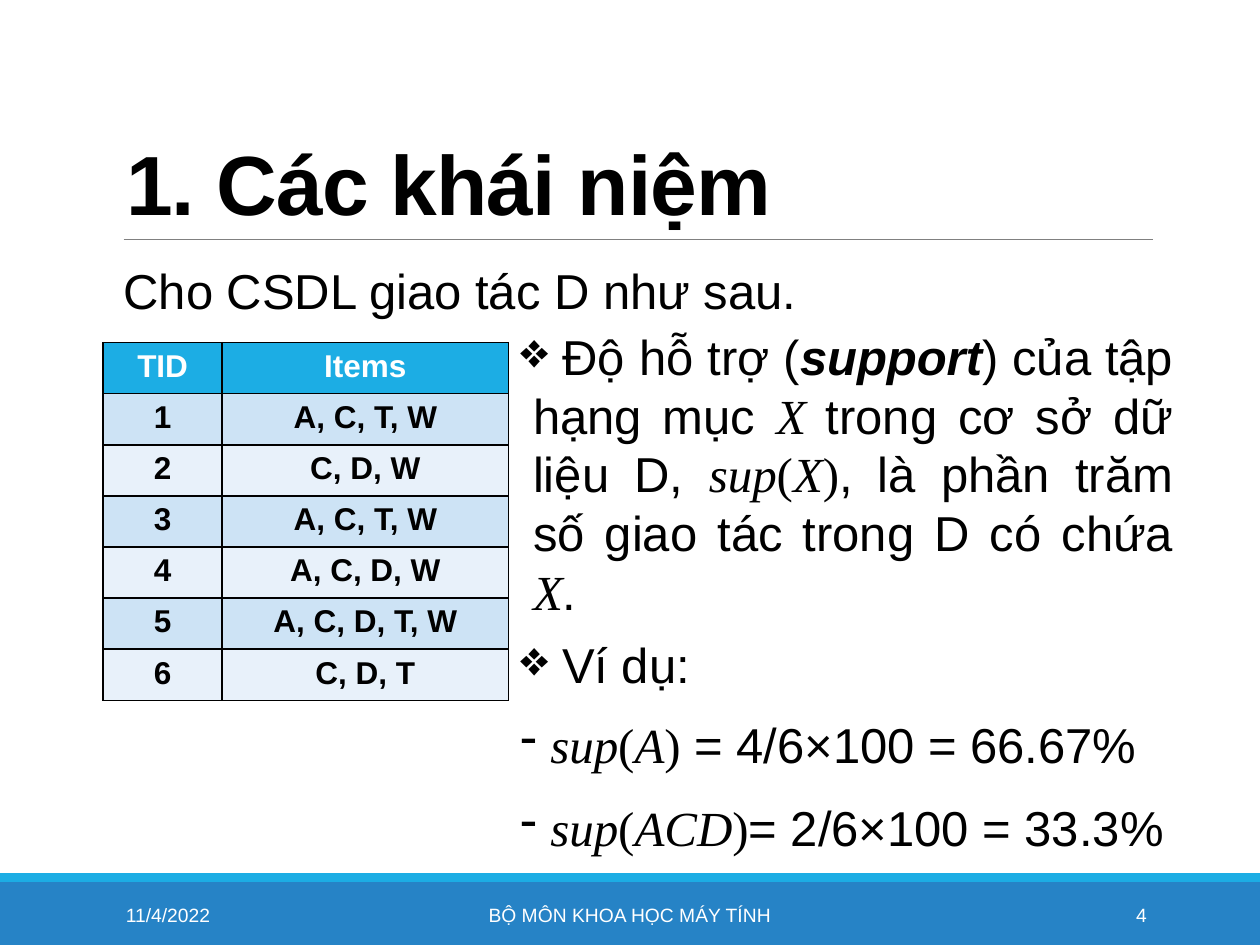
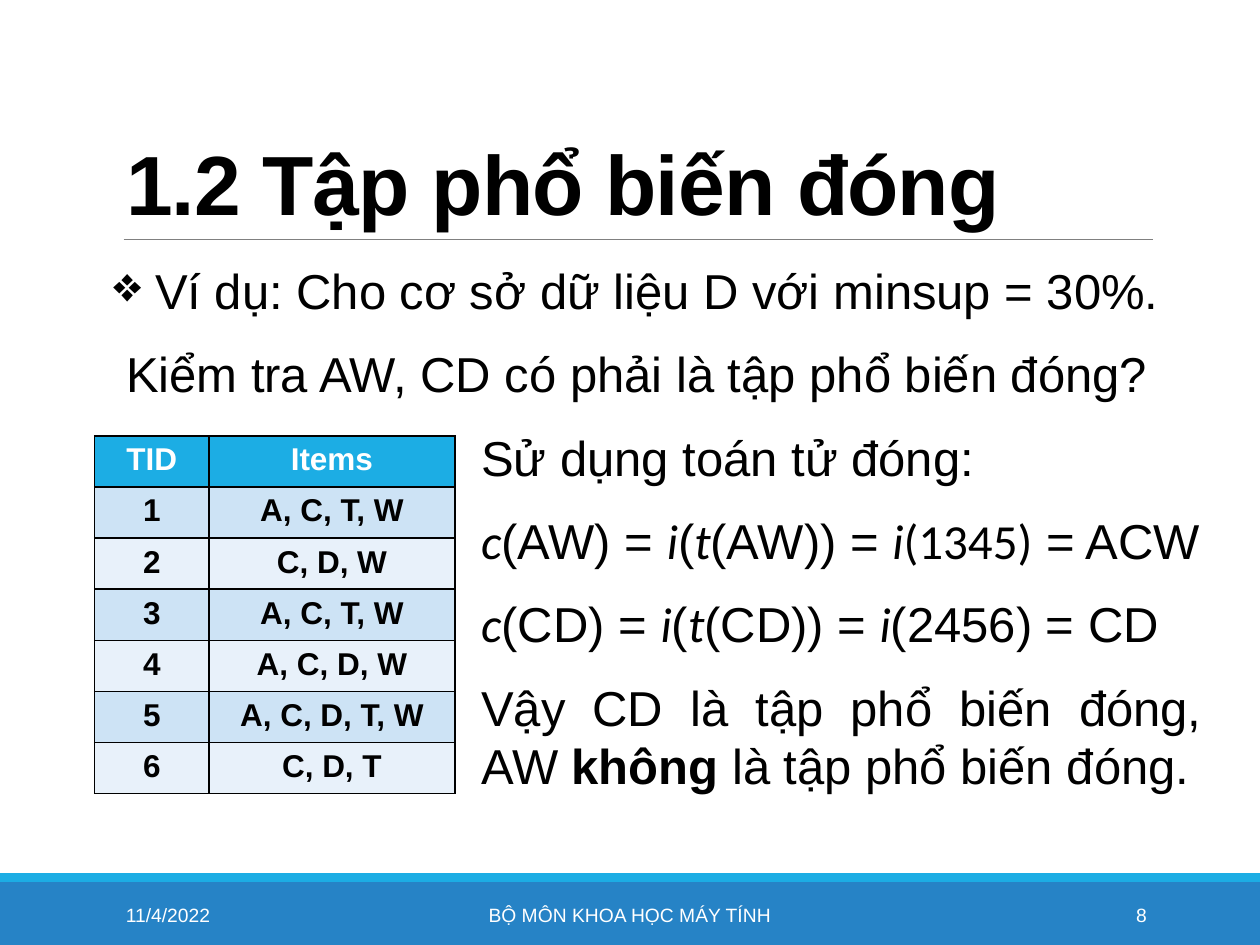
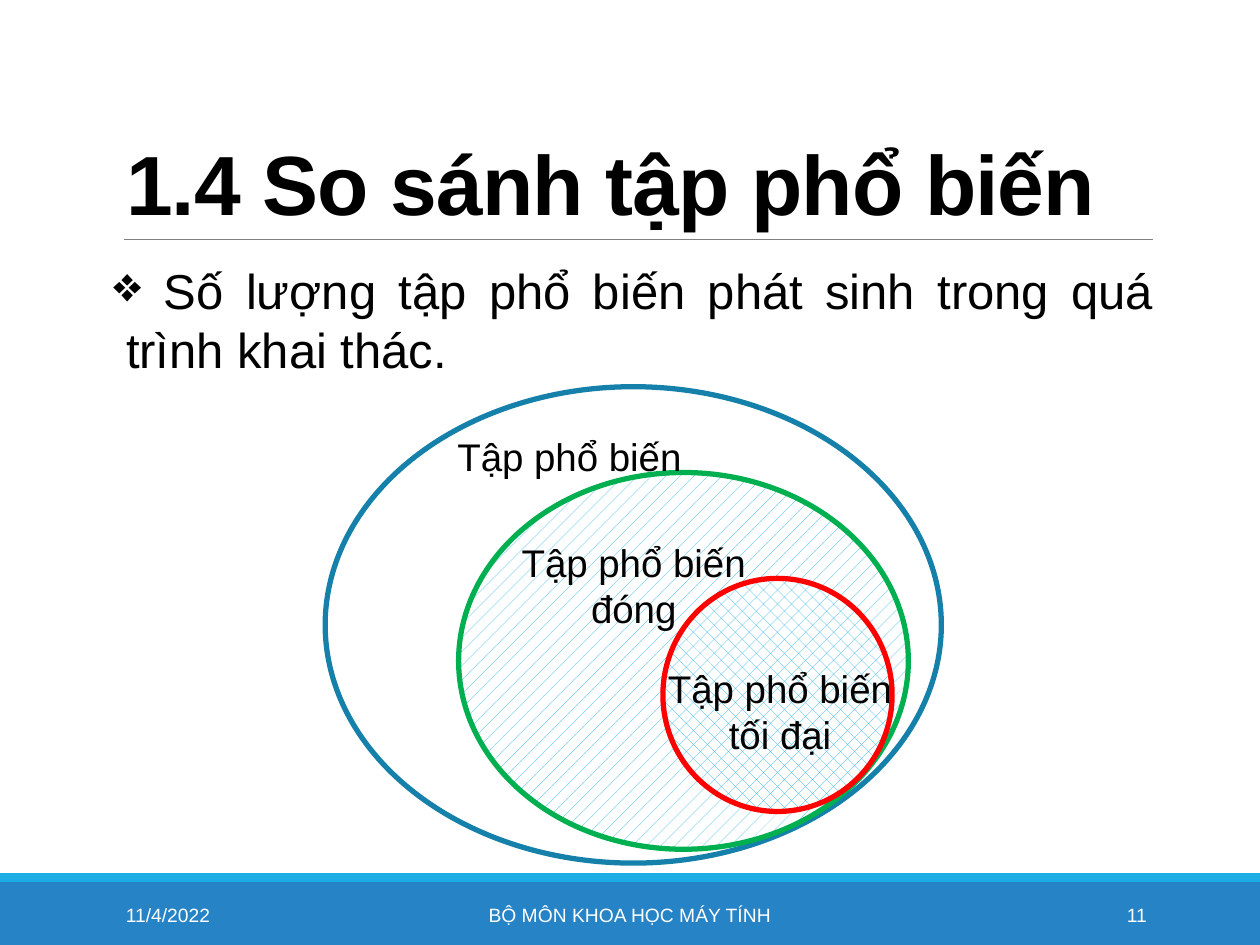
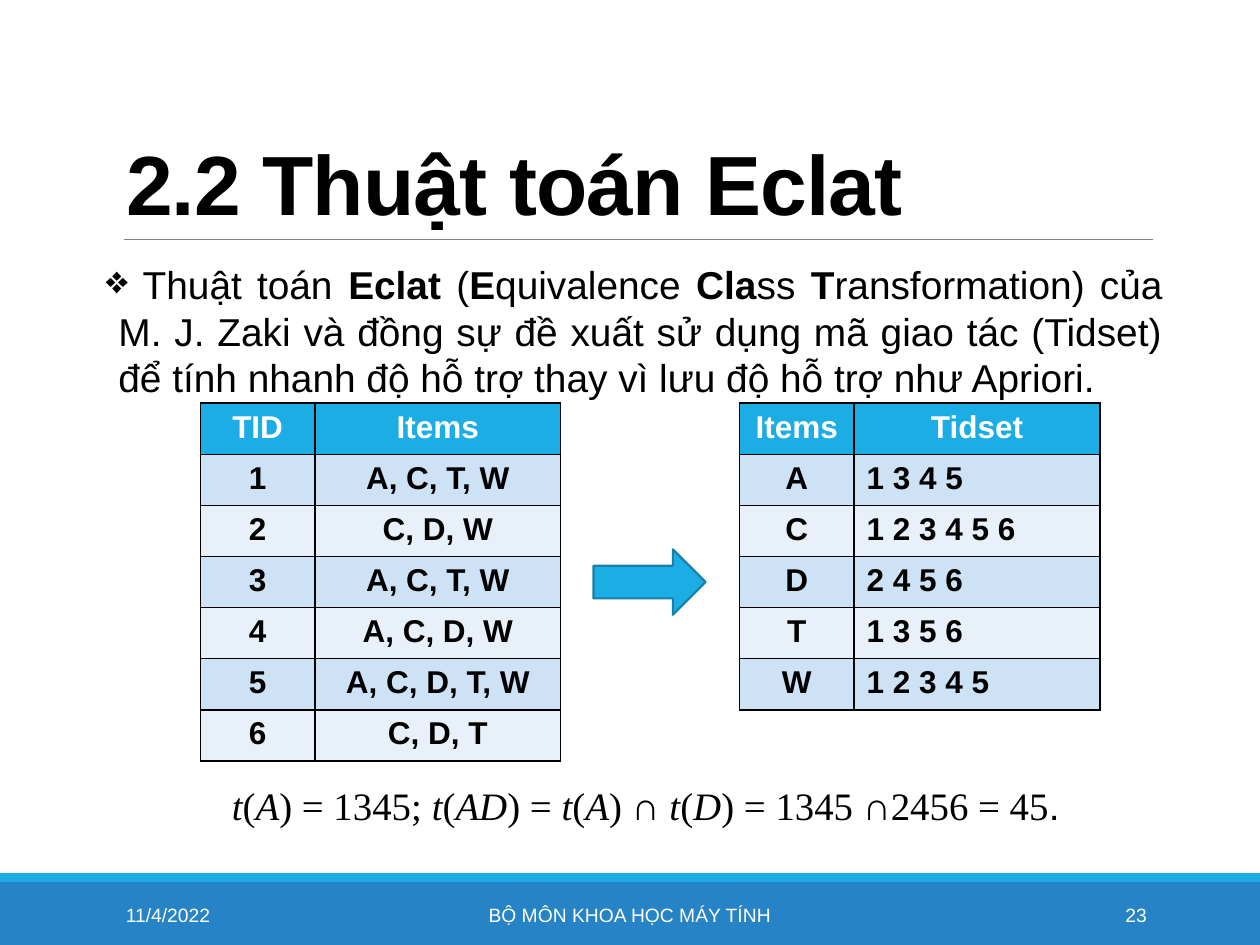
import lxml.etree
import pptx
import pptx.dml.color
import pptx.enum.dml
import pptx.enum.shapes
import pptx.enum.text
import pptx.oxml
import pptx.oxml.ns
import pptx.util

Pt = pptx.util.Pt
ALIGN = pptx.enum.text.PP_ALIGN
ANCHOR = pptx.enum.text.MSO_ANCHOR
SHAPE = pptx.enum.shapes.MSO_SHAPE
PATTERN = pptx.enum.dml.MSO_PATTERN

COLORS = {
    "text": "000000", "light": "FFFFFF", "rule": "808080",
    "accent": "1CADE4", "band": "2683C6", "outline": "1580A9",
    "odd_row": "CDE3F5", "even_row": "E8F1FA",
    "closed": "00B050", "maximal": "FF0000",
}
SANS, SERIF, HUMANIST = "Arial", "Times New Roman", "Calibri"

# Run styles, named by the short keys used in the slide texts
STYLES = {
    "plain": {"name": SANS},
    "bold": {"name": SANS, "bold": True},
    "term": {"name": SANS, "bold": True, "italic": True},
    "math": {"name": SERIF, "italic": True},
    "digits": {"name": SERIF},
    "function": {"name": HUMANIST, "italic": True},
    "argument": {"name": HUMANIST},
}

SLIDE_WIDTH, SLIDE_HEIGHT = 720, 540
TITLE_BOX = (64.8, 22.3, 594, 114.5)
FOOTER_BOX = (0, 499, SLIDE_WIDTH, 41)
HANGING = 7.2
ROW_HEIGHT = 29.2
DATE, DEPARTMENT = "11/4/2022", "BỘ MÔN KHOA HỌC MÁY TÍNH"

TRANSACTIONS = [
    ("TID", "Items"), ("1", "A, C, T, W"), ("2", "C, D, W"),
    ("3", "A, C, T, W"), ("4", "A, C, D, W"), ("5", "A, C, D, T, W"),
    ("6", "C, D, T"),
]
TIDSETS = [
    ("Items", "Tidset"), ("A", "1 3 4 5"), ("C", "1 2 3 4 5 6"),
    ("D", "2 4 5 6"), ("T", "1 3 5 6"), ("W", "1 2 3 4 5"),
]


# Shared helpers
def color(name):
    return pptx.dml.color.RGBColor.from_string(COLORS[name])


def points(box):
    return [Pt(length) for length in box]


def apply_format(target, values):
    for name, value in values.items():
        setattr(target, name, value)


def add_run(paragraph, text, size, style="plain", color_name="text"):
    run = paragraph.add_run()
    run.text = text
    apply_format(run.font, {"size": Pt(size), **STYLES[style]})
    run.font.color.rgb = color(color_name)
    return run


def paragraph_of(*runs, bullet=None, **layout):
    """Describe a paragraph: runs are (text, style) pairs or plain strings."""
    return {"runs": runs, "bullet": bullet, "before": 12, "after": 2,
            "align": ALIGN.JUSTIFY, "indent": 0, **layout}


def set_bullet(paragraph, character):
    properties = paragraph._p.get_or_add_pPr()
    properties.set("indent", str(Pt(-HANGING)))
    bullet = lxml.etree.SubElement(properties, pptx.oxml.ns.qn("a:buChar"))
    bullet.set("char", character)


def add_text(shapes, box, paragraphs, size, color_name="text",
             side_inset=0, anchor=ANCHOR.TOP):
    frame = shapes.add_textbox(*points(box)).text_frame
    apply_format(frame, {
        "word_wrap": True, "vertical_anchor": anchor,
        "margin_left": Pt(side_inset), "margin_right": Pt(side_inset)})
    for index, content in enumerate(paragraphs):
        paragraph = frame.add_paragraph() if index else frame.paragraphs[0]
        apply_format(paragraph, {
            "alignment": content["align"],
            "space_before": Pt(content["before"]),
            "space_after": Pt(content["after"])})
        indent = HANGING if content["bullet"] else content["indent"]
        paragraph._p.get_or_add_pPr().set("marL", str(Pt(indent)))
        if content["bullet"]:
            set_bullet(paragraph, content["bullet"])
        for run in content["runs"]:
            if run == "\n":
                paragraph.add_line_break()
            else:
                text, style = (run, "plain") if isinstance(run, str) else run
                add_run(paragraph, text, size, style, color_name)


def add_label(shapes, box, text, size, align=ALIGN.CENTER, **options):
    label = paragraph_of(text, align=align, before=0, after=0)
    add_text(shapes, box, [label], size, side_inset=7.2, **options)


def add_figure(shapes, kind, box, fill=None, pattern=None, line=None, width=1):
    shape = shapes.add_shape(kind, *points(box))
    shape.shadow.inherit = False
    if pattern:
        shape.fill.patterned()
        shape.fill.pattern = pattern
        shape.fill.fore_color.rgb = color("accent")
        shape.fill.back_color.rgb = color("light")
    elif fill:
        shape.fill.solid()
        shape.fill.fore_color.rgb = color(fill)
    else:
        shape.fill.background()
    if line:
        shape.line.color.rgb = color(line)
        shape.line.width = Pt(width)
    else:
        shape.line.fill.background()


# Title with the thin rule below it
def add_title(slide, box, text):
    left, top, width, height = box
    title = slide.shapes.title
    apply_format(title, dict(zip(("left", "top", "width", "height"), points(box))))
    frame = title.text_frame
    apply_format(frame, {
        "word_wrap": True, "vertical_anchor": ANCHOR.BOTTOM,
        "auto_size": pptx.enum.text.MSO_AUTO_SIZE.NONE})
    paragraph = frame.paragraphs[0]
    apply_format(paragraph, {"alignment": ALIGN.LEFT, "line_spacing": 0.85})
    run = add_run(paragraph, text, 48, "bold")
    run.font._element.set("spc", "-50")

    bottom = top + height
    rule = slide.shapes.add_connector(
        pptx.enum.shapes.MSO_CONNECTOR.STRAIGHT,
        *points((left + 5.8, bottom, left + width, bottom)))
    rule.line.color.rgb = color("rule")
    rule.line.width = Pt(0.5)
    lxml.etree.SubElement(rule._element.spPr, pptx.oxml.ns.qn("a:effectLst"))


# Two bands with date, department and slide number
def add_footer(slide, box, number):
    left, top, width, height = box
    stripe = 5
    add_figure(slide.shapes, SHAPE.RECTANGLE,
               (left, top + stripe, width, height - stripe), fill="band")
    add_figure(slide.shapes, SHAPE.RECTANGLE, (left, top, width, stripe), fill="accent")
    for offset, label_width, text, align in (
            (64.8, 146.2, DATE, ALIGN.LEFT),
            (217.4, 285.1, DEPARTMENT, ALIGN.CENTER),
            (584.6, 77.8, str(number), ALIGN.RIGHT)):
        add_label(slide.shapes, (left + offset, top + 9.3, label_width, 28.8), text,
                  11, align, color_name="light", anchor=ANCHOR.MIDDLE)


def add_titled_slide(presentation, title, number):
    slide = presentation.slides.add_slide(presentation.slide_layouts[5])
    add_title(slide, TITLE_BOX, title)
    add_footer(slide, FOOTER_BOX, number)
    return slide


# Banded table with black cell borders
def add_borders(cell):
    properties = cell._tc.get_or_add_tcPr()
    for side in "LRTB":
        properties.append(pptx.oxml.parse_xml(
            f'<a:ln{side} {pptx.oxml.ns.nsdecls("a")} w="{Pt(1)}"><a:solidFill>'
            f'<a:srgbClr val="{COLORS["text"]}"/></a:solidFill></a:ln{side}>'))


def add_grid(slide, left, top, rows, widths=(65.5, 140.4), value_align=ALIGN.CENTER):
    frame = slide.shapes.add_table(
        len(rows), len(widths),
        *points((left, top, sum(widths), ROW_HEIGHT * len(rows))))
    table = frame.table
    for column, width in zip(table.columns, widths):
        column.width = Pt(width)
    for row_index, values in enumerate(rows):
        table.rows[row_index].height = Pt(ROW_HEIGHT)
        is_header = row_index == 0
        fill = "accent" if is_header else ("even_row", "odd_row")[row_index % 2]
        for column_index, text in enumerate(values):
            cell = table.cell(row_index, column_index)
            add_borders(cell)
            cell.fill.solid()
            cell.fill.fore_color.rgb = color(fill)
            paragraph = cell.text_frame.paragraphs[0]
            is_value = column_index == 1 and not is_header
            paragraph.alignment = value_align if is_value else ALIGN.CENTER
            add_run(paragraph, text, 18, "bold", "light" if is_header else "text")


# Nested ellipses: frequent, closed and maximal itemsets
def add_set_diagram(slide, box):
    left, top, width, height = box
    shapes = slide.shapes.add_group_shape().shapes
    for x, y, oval_width, oval_height, pattern, line in (
            (0, 0, width, height, None, "outline"),
            (76.3, 49, 257, 215.3, PATTERN.PERCENT_10, "closed"),
            (193, 109.5, 131, 133.2, PATTERN.PERCENT_25, "maximal")):
        add_figure(shapes, SHAPE.OVAL, (left + x, top + y, oval_width, oval_height),
                   pattern=pattern, line=line, width=3)
    for x, y, label_height, text in (
            (65.5, 23, 30, "Tập phổ biến"),
            (102.2, 83.5, 54, "Tập phổ biến đóng"),
            (185.8, 155.5, 54, "Tập phổ biến tối đại")):
        add_label(shapes, (left + x, top + y, 148.3, label_height), text, 22)


# Slides
def build_concepts(presentation):
    slide = add_titled_slide(presentation, "1. Các khái niệm", 4)
    support = [
        paragraph_of(
            " Độ hỗ trợ (", ("support", "term"), ") của tập hạng mục ",
            ("X ", "math"), "trong cơ sở dữ liệu D, ", ("sup", "math"),
            ("(", "digits"), ("X", "math"), (")", "digits"),
            ", là phần trăm số giao tác trong D có chứa ", ("X", "math"), ".",
            bullet="❖"),
        paragraph_of(" Ví dụ:", bullet="❖", before=6, after=0),
    ]
    for itemset, result in (("A", " = 4/6×100 = 66.67%"), ("ACD", "= 2/6×100 = 33.3%")):
        support.append(paragraph_of(
            " ", ("sup", "math"), ("(", "digits"), (itemset, "math"),
            (")", "digits"), result, bullet="-"))
    add_text(slide.shapes, (297.4, 182.9, 373, 312.5), support, 28)
    add_grid(slide, 59, 195.8, TRANSACTIONS, (67.9, 163.8))
    add_text(slide.shapes, (70.6, 145.4, 594, 38.2),
             [paragraph_of("Cho CSDL giao tác D như sau.")], 28)


def build_closed_itemsets(presentation):
    slide = add_titled_slide(presentation, "1.2 Tập phổ biến đóng", 8)
    add_text(slide.shapes, (64.8, 145.4, 611.3, 103.7), [
        paragraph_of(" Ví dụ: Cho cơ sở dữ liệu D với minsup = 30%.", bullet="❖"),
        paragraph_of("Kiểm tra AW, CD có phải là tập phổ biến đóng?", indent=HANGING),
    ], 28)
    add_grid(slide, 54, 249.1, TRANSACTIONS)

    closures = [
        paragraph_of(
            ("c", "function"), f"({itemset}) = ", ("i", "function"), "(",
            ("t", "function"), f"({itemset})) = ", ("i", "function"), *result)
        for itemset, result in (
            ("AW", (("(1345)", "argument"), " = ACW")),
            ("CD", ("(2456) = CD",)))
    ]
    add_text(slide.shapes, (275, 240.5, 427, 254.9), [
        paragraph_of("Sử dụng toán tử đóng:"),
        *closures,
        paragraph_of("Vậy CD là tập phổ biến đóng, ", "\n", "AW ",
                     ("không", "bold"), " là tập phổ biến đóng."),
    ], 28)


def build_comparison(presentation):
    slide = add_titled_slide(presentation, "1.4 So sánh tập phổ biến", 11)
    add_set_diagram(slide, (185.8, 221, 352.1, 272.2))
    add_text(slide.shapes, (64.8, 145.4, 594, 316.8), [paragraph_of(
        " Số lượng tập phổ biến phát sinh trong quá trình khai thác.",
        bullet="❖")], 28)


def build_eclat(presentation):
    slide = add_titled_slide(presentation, "2.2 Thuật toán Eclat", 23)
    formula = [
        ("t", "math"), ("(", "digits"), ("A", "math"), (") = 1345; ", "digits"),
        ("t", "math"), ("(", "digits"), ("AD", "math"), (") = ", "digits"),
        ("t", "math"), ("(", "digits"), ("A", "math"), (") ∩ ", "digits"),
        ("t", "math"), ("(", "digits"), ("D", "math"),
        (") = 1345 ∩2456 = 45", "digits"), ".",
    ]
    add_text(slide.shapes, (60.5, 145.4, 604, 352), [
        paragraph_of(
            " Thuật toán ", ("Eclat ", "bold"), "(", ("E", "bold"), "quivalence ",
            ("Cla", "bold"), "ss ", ("T", "bold"),
            "ransformation) của M. J. Zaki và đồng sự đề xuất sử dụng mã giao tác "
            "(Tidset) để tính nhanh độ hỗ trợ thay vì lưu độ hỗ trợ như Apriori.",
            bullet="❖"),
        paragraph_of(*formula, indent=72, before=216),
    ], 22.2)
    table_top = 230.4
    add_grid(slide, 114.5, table_top, TRANSACTIONS)
    add_grid(slide, 422.6, table_top, TIDSETS, value_align=ALIGN.LEFT)
    add_figure(slide.shapes, SHAPE.RIGHT_ARROW, (339.1, 313.9, 64.1, 37.4),
               fill="accent", line="outline", width=1.25)


def main():
    presentation = pptx.Presentation()
    presentation.slide_width = Pt(SLIDE_WIDTH)
    presentation.slide_height = Pt(SLIDE_HEIGHT)
    for build in (build_concepts, build_closed_itemsets, build_comparison, build_eclat):
        build(presentation)
    presentation.save("out.pptx")


if __name__ == "__main__":
    main()
